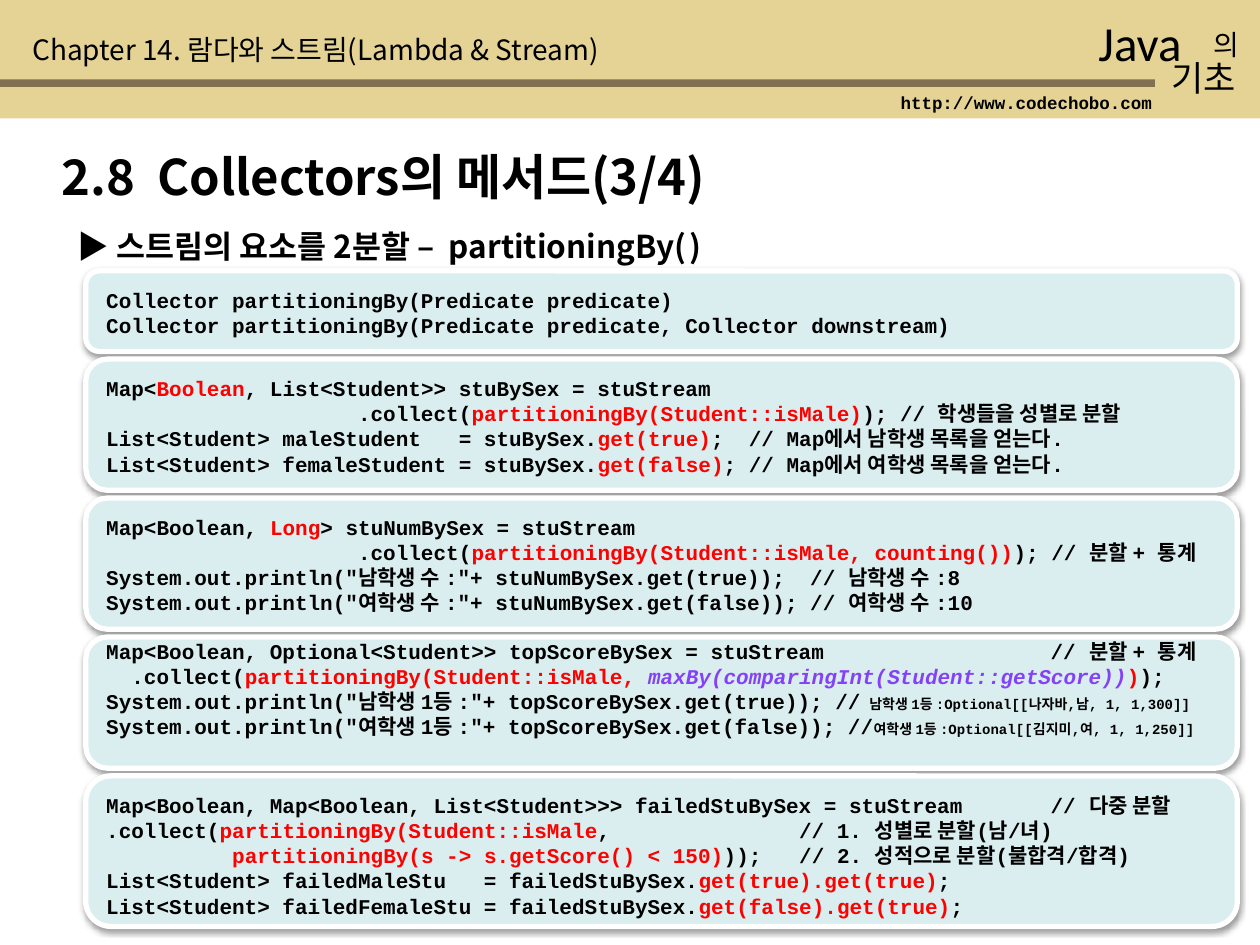
from lxml.etree import SubElement
from pptx import Presentation
from pptx.dml.color import RGBColor
from pptx.enum.shapes import MSO_SHAPE as Shape
from pptx.oxml.ns import qn
from pptx.util import Pt

COLORS = {
    "band": "E4D394",
    "rule": "817051",
    "panel": "DAEDEF",
    "edge": "FFFFFF",
    "text": "000000",
    "key": "FF0000",
    "nested": "8342F8",
}
KOREAN = "Noto Sans CJK KR"
CODE = {"name": "Courier New", "size": 12, "bold": True}
KEY = {"color": "key"}
NESTED = {"color": "nested", "italic": True}
SMALL = {"size": 8}

PANELS = [
    (46, 5.8, [
        ["Collector partitioningBy(Predicate predicate)"],
        ["Collector partitioningBy(Predicate predicate, Collector downstream)"],
    ]),
    (75, 5.8, [
        ["Map<", ("Boolean", KEY), ", List<Student>> stuBySex = stuStream"],
        ["                    .collect(", ("partitioningBy(Student::isMale)", KEY),
         "); // 학생들을 성별로 분할"],
        ["List<Student> maleStudent   = stuBySex.", ("get(true)", KEY),
         ";  // Map에서 남학생 목록을 얻는다."],
        ["List<Student> femaleStudent = stuBySex.", ("get(false)", KEY),
         "; // Map에서 여학생 목록을 얻는다."],
    ]),
    (75, 5.8, [
        ["Map<Boolean, ", ("Long", KEY), "> stuNumBySex = stuStream"],
        ["                    .collect(",
         ("partitioningBy(Student::isMale, counting())", KEY), "); // 분할 + 통계"],
        ['System.out.println("남학생 수 :"+ stuNumBySex.get(true));  // 남학생 수 :8'],
        ['System.out.println("여학생 수 :"+ stuNumBySex.get(false)); // 여학생 수 :10'],
    ]),
    (75, -2.9, [
        ["Map<Boolean, Optional<Student>> topScoreBySex = stuStream"
         "                  // 분할 + 통계"],
        ["  .collect(", ("partitioningBy(Student::isMale, ", KEY),
         ("maxBy(comparingInt(Student::getScore))", NESTED), (")", KEY), ");"],
        ['System.out.println("남학생 1등 :"+ topScoreBySex.get(true)); //',
         (" 남학생 1등 :Optional[[나자바,남, 1, 1,300]]", SMALL)],
        ['System.out.println("여학생 1등 :"+ topScoreBySex.get(false)); //',
         ("여학생 1등 :Optional[[김지미,여, 1, 1,250]]", SMALL)],
    ]),
    (86, 5.8, [
        ["Map<Boolean, Map<Boolean, List<Student>>> failedStuBySex = stuStream"
         "       // 다중 분할"],
        [".collect(", ("partitioningBy(Student::isMale", KEY),
         ",               // 1. 성별로 분할(남/녀)"],
        ["          ", ("partitioningBy(s -> s.getScore() < 150)", KEY),
         "));   // 2. 성적으로 분할(불합격/합격)"],
        ["List<Student> failedMaleStu   = failedStuBySex.",
         ("get(true).get(true)", KEY), ";"],
        ["List<Student> failedFemaleStu = failedStuBySex.",
         ("get(false).get(true)", KEY), ";"],
    ]),
]


def add_span(para, text, style):
    span = para.add_run()
    span.text = text
    values = {"color": "text", **style}
    span.font.color.rgb = RGBColor.from_string(COLORS[values.pop("color")])
    values["size"] = Pt(values["size"])
    for key, value in values.items():
        setattr(span.font, key, value)
    SubElement(span.font._element, qn("a:ea"), typeface=KOREAN)


def add_text(page, left, top, width, height, lines, style, spacing=None):
    box = page.shapes.add_textbox(Pt(left), Pt(top), Pt(width), Pt(height))
    frame = box.text_frame
    frame.word_wrap = True
    for index, line in enumerate(lines):
        para = frame.add_paragraph() if index else frame.paragraphs[0]
        if spacing:
            para.line_spacing = Pt(spacing)
        for part in line:
            text, change = (part, {}) if isinstance(part, str) else part
            add_span(para, text, {**style, **change})


def add_block(page, kind, left, top, width, height, fill):
    block = page.shapes.add_shape(kind, Pt(left), Pt(top), Pt(width), Pt(height))
    block.shadow.inherit = False
    block.fill.solid()
    block.fill.fore_color.rgb = RGBColor.from_string(COLORS[fill])
    block.line.fill.background()
    return block


def add_header(page, left, top, width, height):
    add_block(page, Shape.RECTANGLE, left, top, width, height, "band")
    add_block(page, Shape.RECTANGLE, left, top + 45.4, width - 60, 4.3, "rule")
    labels = [
        (620.6, 3.6, 96, 41, "Java", {"name": "Calibri", "size": 28}),
        (686.2, 12.2, 42.5, 26.6, "의", {"name": KOREAN, "size": 16}),
        (662.4, 28.8, 64, 31, "기초", {"name": KOREAN, "size": 20}),
        (507.6, 49, 158.4, 19.4, "http://www.codechobo.com", {**CODE, "size": 10}),
        (11.5, 15.1, 448, 26.6, "Chapter 14. 람다와 스트림(Lambda & Stream)",
         {"name": KOREAN, "size": 16}),
    ]
    for x, y, wide, high, text, style in labels:
        add_text(page, left + x, top + y, wide, high, [[text]], style)


def add_headings(page, left, top, width):
    style = {"name": KOREAN, "bold": True}
    add_text(page, left, top, width, 41, [["2.8  Collectors의 메서드(3/4)"]],
             {**style, "size": 28})
    subtitle = ["▶ 스트림의 요소를 2분할 –  partitioningBy(", (" ", SMALL), ")"]
    add_text(page, left + 9.4, top + 46, width, 29, [subtitle], {**style, "size": 18})


def add_panel(page, left, top, width, height, inset, lines):
    panel = add_block(page, Shape.ROUNDED_RECTANGLE, left, top, width, height, "panel")
    panel.line.color.rgb = RGBColor.from_string(COLORS["edge"])
    panel.line.width = Pt(3)
    effects = panel._element.spPr.find(qn("a:effectLst"))
    shadow = SubElement(effects, qn("a:outerShdw"), blurRad=str(Pt(3.1)),
                        dist=str(Pt(1.6)), dir="5400000", rotWithShape="0")
    tint = SubElement(shadow, qn("a:srgbClr"), val=COLORS["text"])
    SubElement(tint, qn("a:alpha"), val="38000")
    add_text(page, left + 4.6, top + inset, width + 5.8, 7.2 + 14.4 * len(lines),
             lines, CODE, 14.4)


def add_panels(page, left, top, width, gap):
    for height, inset, lines in PANELS:
        add_panel(page, left, top, width, height, inset, lines)
        top += height + gap


def main():
    deck = Presentation()
    deck.slide_width, deck.slide_height = Pt(720), Pt(540)
    page = deck.slides.add_slide(deck.slide_layouts[6])
    add_header(page, 0, 0, 720, 67.7)
    add_headings(page, 28.1, 80, 676)
    add_panels(page, 49, 154.8, 658, 4.4)
    deck.save("out.pptx")


if __name__ == "__main__":
    main()
